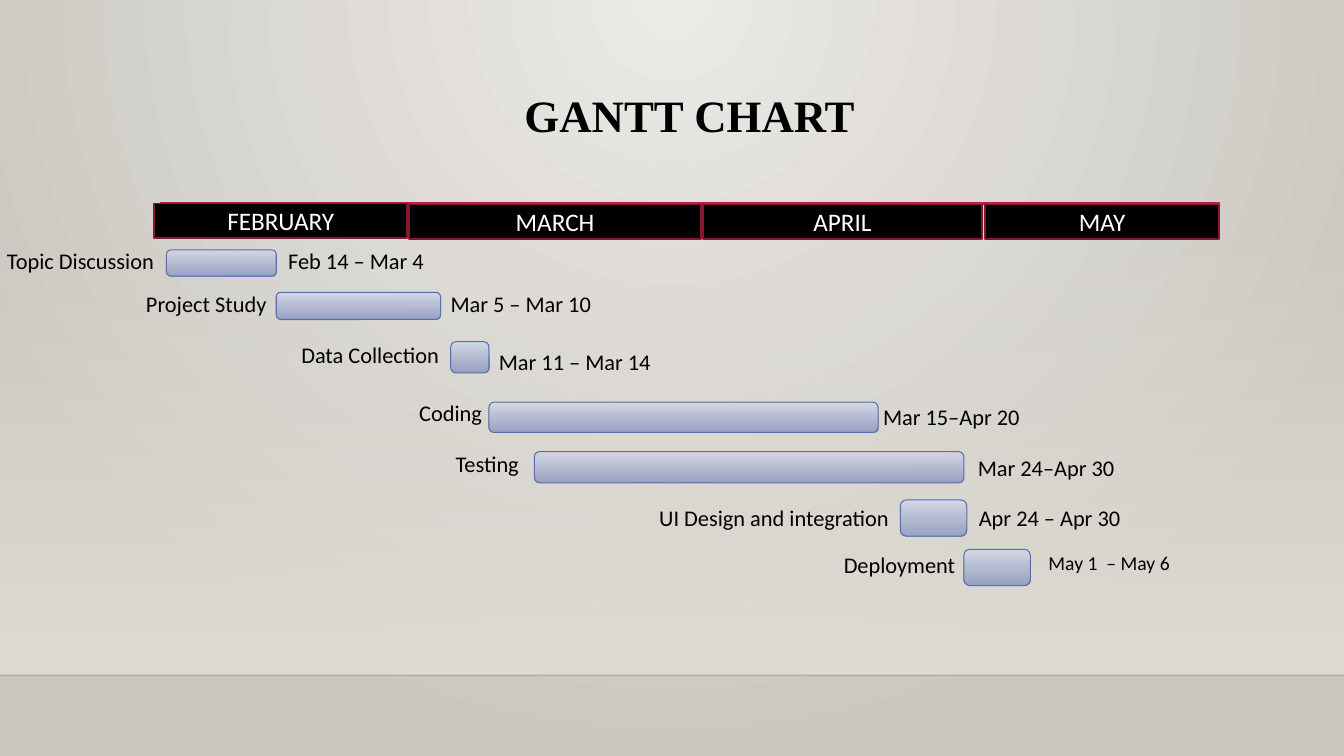
"""Build a one-slide Gantt chart running from February to May."""
import pptx
import pptx.dml.color
import pptx.enum.shapes
import pptx.enum.text
import pptx.oxml
import pptx.oxml.ns
import pptx.util
from lxml import etree

PX = 9144
SHAPE = pptx.enum.shapes.MSO_SHAPE
ALIGN = pptx.enum.text.PP_ALIGN
ANCHOR = pptx.enum.text.MSO_ANCHOR
qn = pptx.oxml.ns.qn


def paint(fill, *tones):
    """Fill with one hex colour, or with a downward gradient of two."""
    rgbs = [pptx.dml.color.RGBColor.from_string(tone) for tone in tones]
    if len(rgbs) == 1:
        fill.solid()
        fill.fore_color.rgb = rgbs[0]
        return
    fill.gradient()
    fill.gradient_angle = 270
    for stop, rgb, place in zip(fill.gradient_stops, rgbs, (0, 1)):
        stop.color.rgb = rgb
        stop.position = place


def write(frame, words, size, tone, face="Calibri", align=ALIGN.LEFT):
    """Put one formatted paragraph in a text frame."""
    frame.word_wrap = True
    frame.text = words
    para = frame.paragraphs[0]
    para.alignment = align
    para.font.size = pptx.util.Pt(size)
    para.font.name = face
    paint(para.font.fill, tone)
    return para


deck = pptx.Presentation()
deck.slide_width, deck.slide_height = 1333 * PX, 750 * PX
slide = deck.slides.add_slide(deck.slide_layouts[5])
shapes = slide.shapes

paint(slide.background.fill, "ECEAE7", "CAC7C1")
lin = next(slide.element.iter(qn("a:lin")))
ring = etree.Element(qn("a:path"), {"path": "circle"})
etree.SubElement(ring, qn("a:fillToRect"), l="43000", t="0", r="43000", b="100000")
lin.getparent().replace(lin, ring)

wall = shapes.add_shape(SHAPE.RECTANGLE, 0, 221 * PX, 1333 * PX, 449 * PX)
wall.shadow.inherit = False
wall.line.fill.background()
paint(wall.fill, "DFDBD5", "DFDBD5")
clear = next(wall.element.iter(qn("a:srgbClr")))
etree.SubElement(clear, qn("a:alpha"), val="0")

for left, right, y, tone, width, alpha in [
    (0, 1333, 670, "000001", 1, 20),
    (159, 1210, 202, "B71E42", 2.5, 100),
]:
    rule = shapes.add_connector(
        pptx.enum.shapes.MSO_CONNECTOR.STRAIGHT, left * PX, y * PX, right * PX, y * PX)
    paint(rule.line.fill, tone)
    rule.line.width = pptx.util.Pt(width)
    etree.SubElement(next(rule.element.iter(qn("a:srgbClr"))),
                     qn("a:alpha"), val=str(alpha * 1000))
    etree.SubElement(rule.element.spPr, qn("a:effectLst"))

title = shapes.title
title.left, title.top, title.width, title.height = [n * PX for n in (159, 88, 1050, 115)]
title.text_frame.vertical_anchor = ANCHOR.TOP
head = write(title.text_frame, "GANTT CHART", 32, "000000", "Times New Roman", ALIGN.CENTER)
head.font.bold = True
head.line_spacing = 0.9

for month, left, top, width in [
    ("FEBRUARY", 153, 202, 251),
    ("MARCH", 406, 203, 289),
    ("APRIL", 697, 203, 277),
    ("MAY", 977, 203, 232),
]:
    cell = shapes.add_shape(SHAPE.RECTANGLE, left * PX, top * PX, width * PX, 34 * PX)
    cell.shadow.inherit = False
    paint(cell.fill, "000000")
    paint(cell.line.fill, "871631")
    cell.line.width = pptx.util.Pt(1.25)
    cell.text_frame.vertical_anchor = ANCHOR.MIDDLE
    write(cell.text_frame, month, 18, "FFFFFF", align=ALIGN.CENTER)

tasks = [
    ("Topic Discussion", (-3, 240, 194), (165, 248, 109, 26),
     "Feb 14 – Mar 4", (276, 240, 171), 16),
    ("Project Study", (135, 283, 157), (274, 290, 163, 27),
     "Mar 5 – Mar 10", (437, 283, 206), 16),
    ("Data Collection", (289, 334, 180), (447, 339, 38, 31),
     "Mar 11 – Mar 14", (485, 340, 220), 16),
    ("Coding", (406, 391, 90), (485, 399, 386, 30),
     "Mar 15–Apr 20", (866, 395, 164), 16),
    ("Testing", (442, 442, 98), (530, 448, 426, 31),
     "Mar 24–Apr 30", (960, 446, 164), 16),
    ("UI Design and integration", (644, 495, 296), (893, 496, 66, 36),
     "Apr 24 – Apr 30", (961, 495, 183), 16),
    ("Deployment", (827, 542, 148), (956, 545, 66, 36),
     "May 1  – May 6", (1030, 542, 169), 14),
]
for task, spot, span, dates, place, size in tasks:
    bar = shapes.add_shape(SHAPE.ROUNDED_RECTANGLE, *[n * PX for n in span])
    bar.shadow.inherit = False
    paint(bar.fill, "D6D9E5", "929DC0")
    deep = list(bar.element.iter(qn("a:srgbClr")))[1]
    etree.SubElement(deep, qn("a:alpha"), val="92000")
    paint(bar.line.fill, "586EA6")
    bar.line.width = pptx.util.Pt(0.75)
    for words, (left, top, width), points in [(task, spot, 16), (dates, place, size)]:
        box = shapes.add_textbox(left * PX, top * PX, width * PX, 37 * PX)
        write(box.text_frame, words, points, "000000")

deck.save("out.pptx")
